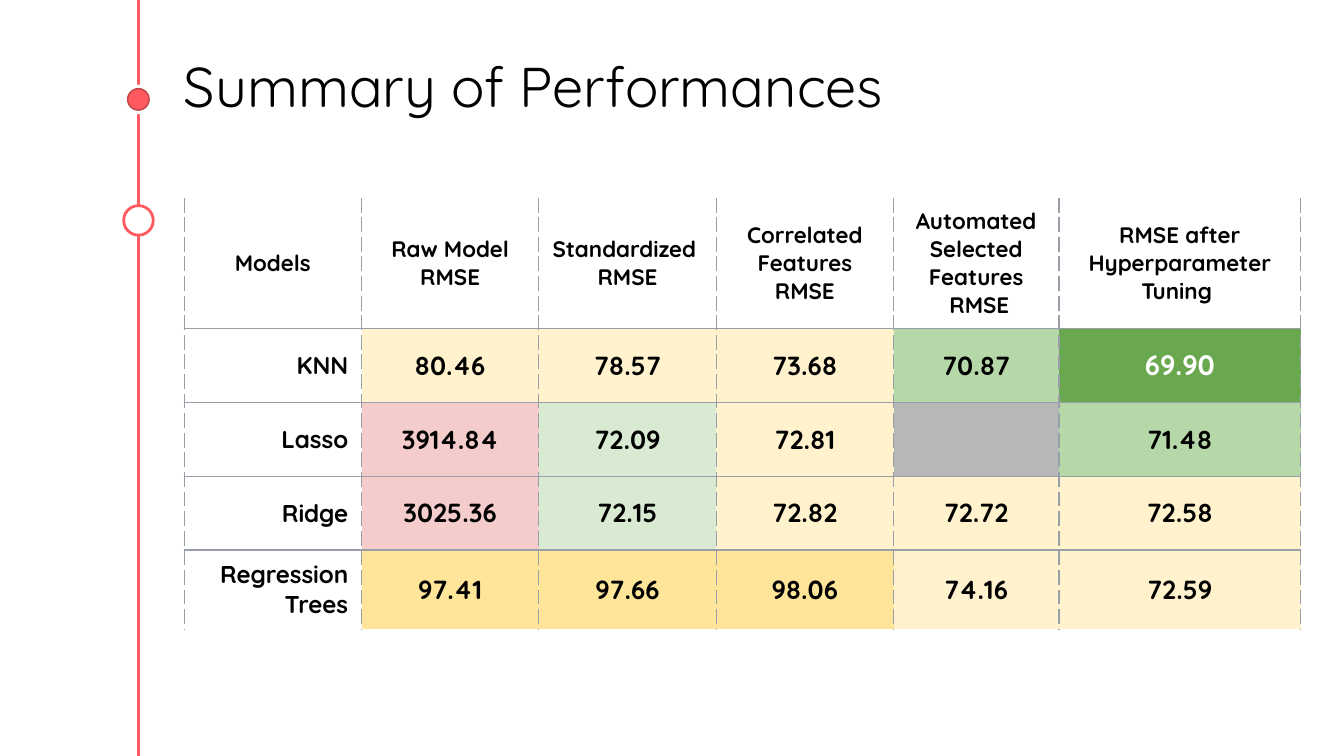
from lxml import etree
from pptx import Presentation
from pptx.dml.color import RGBColor
from pptx.enum.shapes import MSO_CONNECTOR, MSO_SHAPE
from pptx.enum.text import MSO_ANCHOR, MSO_AUTO_SIZE, PP_ALIGN
from pptx.oxml.ns import qn
from pptx.util import Inches, Pt

STRAIGHT = MSO_CONNECTOR.STRAIGHT
OVAL = MSO_SHAPE.OVAL
MIDDLE, BOTTOM = MSO_ANCHOR.MIDDLE, MSO_ANCHOR.BOTTOM
LEFT, CENTER, RIGHT = PP_ALIGN.LEFT, PP_ALIGN.CENTER, PP_ALIGN.RIGHT
NO_AUTOFIT = MSO_AUTO_SIZE.NONE

SLIDE_WIDTH = Inches(10)
SLIDE_HEIGHT = SLIDE_WIDTH * 9 // 16
FONT = "Quicksand"
COLORS = {
    "white": "FFFFFF",
    "black": "000000",
    "coral": "FF5A60",
    "dark_coral": "C04045",
    "border": "999FA9",
    "cream": "FFF2CC",
    "yellow": "FFE599",
    "pink": "F4CCCC",
    "pale_green": "D9EAD3",
    "light_green": "B6D7A8",
    "green": "6AA84F",
    "gray": "B7B7B7",
}
TIMELINE_X = 1.03
COLUMN_WIDTHS = [1.32, 1.32, 1.32, 1.32, 1.23, 1.8]
ROW_HEIGHT = 0.55
HEADERS = [
    "Models",
    "Raw Model RMSE",
    "Standardized \nRMSE",
    "Correlated Features\nRMSE",
    "Automated Selected\nFeatures\n RMSE",
    "RMSE after Hyperparameter Tuning ",
]
RESULTS = [
    ("KNN", ["80.46", "78.57", "73.68", "70.87", "69.90"],
     ["cream", "cream", "cream", "light_green", "green"]),
    ("Lasso", ["3914.84", "72.09", "72.81", "", "71.48"],
     ["pink", "pale_green", "cream", "gray", "light_green"]),
    ("Ridge", ["3025.36", "72.15", "72.82", "72.72", "72.58"],
     ["pink", "pale_green", "cream", "cream", "cream"]),
    ("Regression Trees", ["97.41", "97.66", "98.06", "74.16", "72.59"],
     ["yellow", "yellow", "yellow", "cream", "cream"]),
]


def rgb(name):
    """Return the named color."""
    return RGBColor.from_string(COLORS[name])


def write_text(text_frame, text, size, color="black", bold=False, align=LEFT):
    """Set the text and format every run."""
    text_frame.text = text
    for paragraph in text_frame.paragraphs:
        paragraph.alignment = align
        for run in paragraph.runs:
            run.font.name = FONT
            run.font.size = Pt(size)
            run.font.bold = bold
            run.font.color.rgb = rgb(color)


def add_timeline(slide):
    """Draw the vertical line at the left."""
    x = Inches(TIMELINE_X)
    connector = slide.shapes.add_connector(STRAIGHT, x, 0, x, SLIDE_HEIGHT)
    connector.line.color.rgb = rgb("coral")
    connector.line.width = Pt(1.5)
    etree.SubElement(connector._element.spPr, qn("a:effectLst"))


def add_marker(slide, center_y, diameter, fill, line, line_width):
    """Draw a circle centered on the timeline."""
    shape = slide.shapes.add_shape(
        OVAL, Inches(TIMELINE_X - diameter / 2),
        Inches(center_y - diameter / 2), Inches(diameter), Inches(diameter))
    shape.shadow.inherit = False
    shape.fill.solid()
    shape.fill.fore_color.rgb = rgb(fill)
    shape.line.color.rgb = rgb(line)
    shape.line.width = Pt(line_width)


def add_title(slide, text):
    """Add the slide title."""
    shape = slide.shapes.add_textbox(
        Inches(1.27), Inches(0.6), Inches(7.5), Inches(0.38))
    text_frame = shape.text_frame
    text_frame.word_wrap = True
    text_frame.auto_size = NO_AUTOFIT
    text_frame.vertical_anchor = BOTTOM
    text_frame.margin_left = text_frame.margin_right = Inches(0.1)
    text_frame.margin_top = text_frame.margin_bottom = Inches(0.1)
    write_text(text_frame, text, 30)


def add_border(cell, side, dash):
    """Add one cell border, or an invisible one when dash is None."""
    properties = cell._tc.get_or_add_tcPr()
    line = etree.SubElement(properties, qn(f"a:ln{side}"), w=str(Pt(0.75)))
    if dash is None:
        etree.SubElement(line, qn("a:noFill"))
        return
    fill = etree.SubElement(line, qn("a:solidFill"))
    etree.SubElement(fill, qn("a:srgbClr"), val=COLORS["border"])
    etree.SubElement(line, qn("a:prstDash"), val=dash)


def format_cell(cell, text, size, align, fill=None, color="black", top="solid", bottom="solid"):
    """Fill in one table cell."""
    cell.vertical_anchor = MIDDLE
    cell.margin_left = cell.margin_right = Inches(0.1)
    cell.margin_top = cell.margin_bottom = Inches(0.07)
    for side, dash in (("L", "dash"), ("R", "dash"), ("T", top), ("B", bottom)):
        add_border(cell, side, dash)
    if fill:
        cell.fill.solid()
        cell.fill.fore_color.rgb = rgb(fill)
    else:
        cell.fill.background()
    if text:
        write_text(cell.text_frame, text, size, color, True, align)


def add_results_table(slide):
    """Add the table of model errors."""
    shape = slide.shapes.add_table(
        len(RESULTS) + 1, len(HEADERS),
        Inches(1.37), Inches(1.47), Inches(sum(COLUMN_WIDTHS)), Inches(3.18))
    table = shape.table
    table.first_row = table.horz_banding = False
    for column, width in zip(table.columns, COLUMN_WIDTHS):
        column.width = Inches(width)
    for row in table.rows:
        row.height = Inches(ROW_HEIGHT)
    shape.height = Inches(3.18)

    for column, header in enumerate(HEADERS):
        format_cell(table.cell(0, column), header, 12, CENTER, top=None)
    for row, (model, values, fills) in enumerate(RESULTS, start=1):
        bottom = None if row == len(RESULTS) else "solid"
        format_cell(table.cell(row, 0), model, 13, RIGHT, bottom=bottom)
        for column, (value, fill) in enumerate(zip(values, fills), start=1):
            best = fill == "green"
            format_cell(table.cell(row, column), value, 15 if best else 14, CENTER,
                        fill, "white" if best else "black", bottom=bottom)


def main():
    """Build and save the presentation."""
    presentation = Presentation()
    presentation.slide_width = SLIDE_WIDTH
    presentation.slide_height = SLIDE_HEIGHT
    slide = presentation.slides.add_slide(presentation.slide_layouts[6])
    add_timeline(slide)
    add_marker(slide, 0.74, 0.21, "white", "white", 0.75)
    add_marker(slide, 0.74, 0.16, "coral", "dark_coral", 0.75)
    add_marker(slide, 1.64, 0.22, "white", "coral", 1.5)
    add_title(slide, "Summary of Performances")
    add_results_table(slide)
    presentation.save("out.pptx")


if __name__ == "__main__":
    main()
